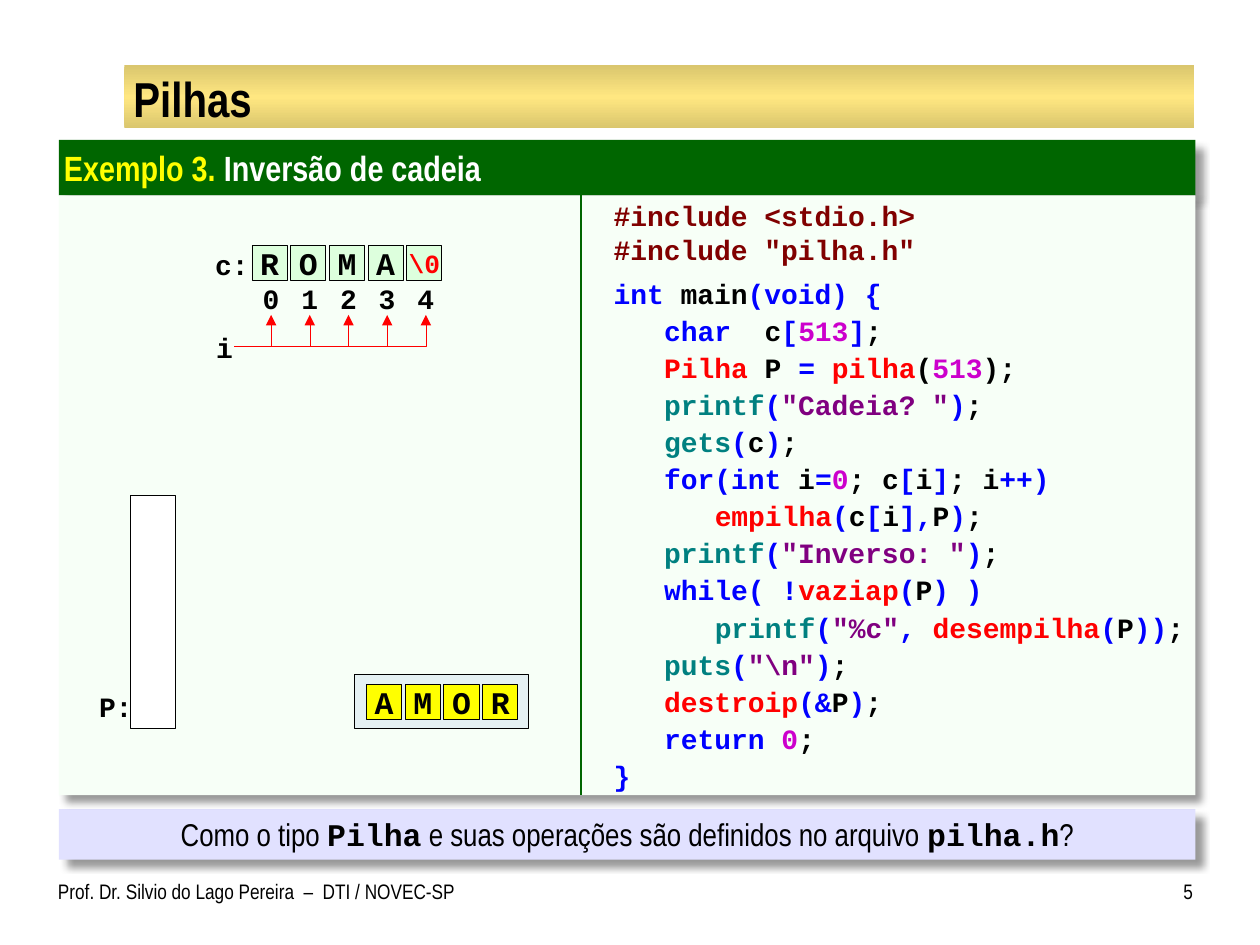
from dataclasses import dataclass

from lxml import etree
from pptx import Presentation
from pptx.dml.color import RGBColor
from pptx.enum.shapes import MSO_CONNECTOR as LINE, MSO_SHAPE as SHAPE
from pptx.enum.text import MSO_ANCHOR as ANCHOR, PP_ALIGN as ALIGN
from pptx.oxml import parse_xml
from pptx.oxml.ns import nsdecls, qn
from pptx.util import Cm, Pt


@dataclass(frozen=True)
class Theme:
    sans: str = "Arial Narrow"
    mono: str = "Courier New"
    title: int = 28
    heading: int = 20
    body: int = 18
    code: int = 16
    end_mark: int = 15
    footer: int = 12
    black: str = "000000"
    white: str = "FFFFFF"
    yellow: str = "FFFF00"
    red: str = "FF0000"
    green: str = "006600"
    panel: str = "F7FFF7"
    question: str = "E1E1FF"
    cell: str = "DDFFDD"
    screen: str = "E5F1F3"
    gold: tuple = ("DAC66E", "FFE781", "DAC66E")


T = Theme()

# Colour keys used in the listing
SYNTAX = {"inc": "800000", "key": "0000FF", "txt": T.black, "num": "CC00CC",
          "own": T.red, "lib": "008080", "str": "800080"}

# Indent level and coloured pieces of every code line
CODE = [
    (0, "inc:#include <stdio.h>"),
    (0, 'inc:#include "pilha.h"'),
    (0, "key:int|txt: main|key:(void) {"),
    (1, "key:char|txt:  c|key:[|num:513|key:]|txt:;"),
    (1, "own:Pilha|txt: P |key:= |own:pilha|txt:(|num:513|txt:);"),
    (1, 'lib:printf|key:(|str:"Cadeia? "|key:)|txt:;'),
    (1, "lib:gets|key:(|txt:c|key:)|txt:;"),
    (1, "key:for(int|txt: i|key:=|num:0|txt:; c|key:[|txt:i|key:]|txt:; i|key:++)"),
    (2, "own:empilha|key:(|txt:c|key:[|txt:i|key:],|txt:P|key:)|txt:;"),
    (1, 'lib:printf|key:(|str:"Inverso: "|key:)|txt:;'),
    (1, "key:while( !|own:vaziap|key:(|txt:P|key:) )"),
    (2, 'lib:printf|key:(|str:"%c"|key:, |own:desempilha|key:(|txt:P|key:))|txt:;'),
    (1, r'lib:puts|key:(|str:"\n"|key:)|txt:;'),
    (1, "own:destroip|key:(&|txt:P|key:)|txt:;"),
    (1, "key:return |num:0|txt:;"),
    (0, "key:}"),
]


def style(r, size, color=T.black, font=T.sans, bold=False):
    r.font.name, r.font.size, r.font.bold = font, Pt(size), bold
    r.font.color.rgb = RGBColor.from_string(color)


def add_run(p, text, *args, **kwargs):
    r = p.add_run()
    r.text = text
    style(r, *args, **kwargs)


def frame(sp, margins, anchor=ANCHOR.TOP, align=ALIGN.LEFT):
    tf = sp.text_frame
    tf.word_wrap, tf.vertical_anchor = True, anchor
    tf.margin_left, tf.margin_top, tf.margin_right, tf.margin_bottom = map(Cm, margins)
    tf.paragraphs[0].alignment = align
    return tf


def add_text(s, box, margins, anchor=ANCHOR.TOP, align=ALIGN.LEFT):
    return frame(s.shapes.add_textbox(*map(Cm, box)), margins, anchor, align)


def add_box(s, box, fill, line=None, shadow=False):
    sp = s.shapes.add_shape(SHAPE.RECTANGLE, *map(Cm, box))
    sp.shadow.inherit = False
    sp.fill.solid()
    sp.fill.fore_color.rgb = RGBColor.from_string(fill)
    if line:
        sp.line.color.rgb = RGBColor.from_string(line)
        sp.line.width = Pt(0.5)
    else:
        sp.line.fill.background()
    if shadow:
        effects = sp._element.spPr.find(qn("a:effectLst"))
        effects.append(parse_xml(
            f'<a:outerShdw {nsdecls("a")} blurRad="{Pt(4)}" dist="{Pt(6)}" '
            f'dir="2700000" algn="tl" rotWithShape="0"><a:srgbClr val="{T.black}">'
            '<a:alpha val="40000"/></a:srgbClr></a:outerShdw>'))
    return sp


def add_line(s, kind, start, end, color, width):
    cx = s.shapes.add_connector(kind, *map(Cm, start + end))
    cx.line.color.rgb = RGBColor.from_string(color)
    cx.line.width = Pt(width)
    etree.SubElement(cx._element.spPr, qn("a:effectLst"))
    return cx


def put_mark(tf, text, size=T.code, color=T.black):
    p = tf.paragraphs[0]
    p.text = text
    p.space_after = Pt(10)
    style(p.runs[0], size, color, T.mono, True)


MARK = ((0, 0.08, 0, 0.08), ANCHOR.MIDDLE, ALIGN.CENTER)
SIDE, PITCH = 0.71, 0.78


def add_label(s, x, y, text, w=SIDE):
    put_mark(add_text(s, (x, y, w, SIDE), *MARK), text)


def add_cells(s, x, y, letters, fill):
    for i, letter in enumerate(letters):
        sp = add_box(s, (x + i * PITCH, y, SIDE, SIDE), fill, T.black)
        is_end = letter == r"\0"
        put_mark(frame(sp, *MARK), letter, T.end_mark if is_end else T.body,
                 T.red if is_end else T.black)


def title_bar(s, x, y, w, h):
    sp = add_box(s, (x, y, w, h), T.gold[0])
    sp.fill.gradient()
    stops = sp._element.spPr.find(qn("a:gradFill")).find(qn("a:gsLst"))
    stops.clear()
    for i, color in enumerate(T.gold):
        gs = etree.SubElement(stops, qn("a:gs"), pos=str(i * 50000))
        etree.SubElement(gs, qn("a:srgbClr"), val=color)
    sp.fill.gradient_angle = 270
    tf = add_text(s, (x + 0.03, y + 0.05, w - 0.05, h - 0.08),
                  (0.15, 0.03, 0.15, 0.03), ANCHOR.MIDDLE)
    tf.text = "Pilhas"
    style(tf.paragraphs[0].runs[0], T.title, bold=True)


def example_panel(s, x, y, w, h, head=1.12):
    sp = add_box(s, (x, y, w, head), T.green, shadow=True)
    p = frame(sp, (0.1, 0.13, 0.25, 0.13)).paragraphs[0]
    add_run(p, "Exemplo 3.", T.heading, T.yellow, bold=True)
    add_run(p, " Inversão de cadeia", T.heading, T.white, bold=True)
    add_box(s, (x, y + head, w, h - head), T.panel, shadow=True)
    add_line(s, LINE.STRAIGHT, (x + 10.52, y + head), (x + 10.52, y + h), T.green, 0.75)


def code_listing(s, x, y, w, h):
    tf = add_text(s, (x, y, w, h), (0, 0.13, 0, 0.13), ANCHOR.MIDDLE)
    for i, (level, pieces) in enumerate(CODE):
        p = tf.add_paragraph() if i else tf.paragraphs[0]
        p.space_before = Pt(0 if i < 2 else 6 if i == 2 else 2)
        # One level is three characters wide
        p._p.get_or_add_pPr().set("marL", str(Cm(1.02 * level)))
        for piece in pieces.split("|"):
            key, _, text = piece.partition(":")
            add_run(p, text, T.code, SYNTAX[key], T.mono, True)


def string_array(s, x, y):
    letters = ["R", "O", "M", "A", r"\0"]
    add_label(s, x, y + 0.03, "c:")
    add_label(s, x, y + 1.7, "i", 0.41)
    add_cells(s, x + 0.76, y, letters, T.cell)
    for i in range(len(letters)):
        left = x + 0.79 + i * PITCH
        add_label(s, left, y + SIDE, str(i))
        # Elbow with one corner: right, then up to the index
        cx = add_line(s, LINE.ELBOW, (x + 0.4, y + 2.04),
                      (left + SIDE / 2, y + 1.4), T.red, 0.25)
        cx._element.spPr.find(qn("a:prstGeom")).set("prst", "bentConnector2")
        etree.SubElement(cx.line._get_or_add_ln(), qn("a:tailEnd"), type="triangle")


def stack(s, x, y, w, h):
    add_box(s, (x, y, w, h), T.white, T.black)
    add_label(s, x - 0.66, y + h - 0.79, "P:")


def output_screen(s, x, y, w, h):
    add_box(s, (x, y, w, h), T.screen, T.black)
    add_cells(s, x + 0.25, y + 0.2, "AMOR", T.yellow)


def question_bar(s, *box):
    sp = add_box(s, box, T.question, shadow=True)
    p = frame(sp, (0.1, 0.13, 0.1, 0.13), align=ALIGN.CENTER).paragraphs[0]
    parts = ["Como o tipo ", "Pilha", " e suas operações são definidos no arquivo ",
             "pilha.h", "?"]
    for i, text in enumerate(parts):
        is_code = i % 2 == 1
        add_run(p, text, T.body, font=T.mono if is_code else T.sans, bold=is_code)


def footer(s, x, y, w, h):
    author = add_text(s, (x, y, 8.31, h), (0, 0.13, 0.25, 0.13))
    number = add_text(s, (x + w - 1, y, 1, h), (0.25, 0.13, 0, 0.13))
    author.text = "Prof. Dr. Silvio do Lago Pereira  –  DTI / NOVEC-SP"
    number.text = "5"
    number.paragraphs[0].alignment = ALIGN.RIGHT
    for tf in (author, number):
        style(tf.paragraphs[0].runs[0], T.footer)


def main():
    prs = Presentation()
    prs.slide_width, prs.slide_height = Cm(25.4), Cm(19.05)
    s = prs.slides.add_slide(prs.slide_layouts[6])
    title_bar(s, 2.51, 1.32, 21.56, 1.27)
    question_bar(s, 1.19, 16.31, 22.91, 1.02)
    example_panel(s, 1.19, 2.82, 22.91, 13.21)
    code_listing(s, 12.37, 3.94, 11.71, 12.09)
    string_array(s, 4.32, 4.95)
    output_screen(s, 7.14, 13.59, 3.51, 1.09)
    stack(s, 2.64, 9.98, 0.89, 4.7)
    footer(s, 1.17, 17.58, 22.88, 1.07)
    prs.save("out.pptx")


if __name__ == "__main__":
    main()
